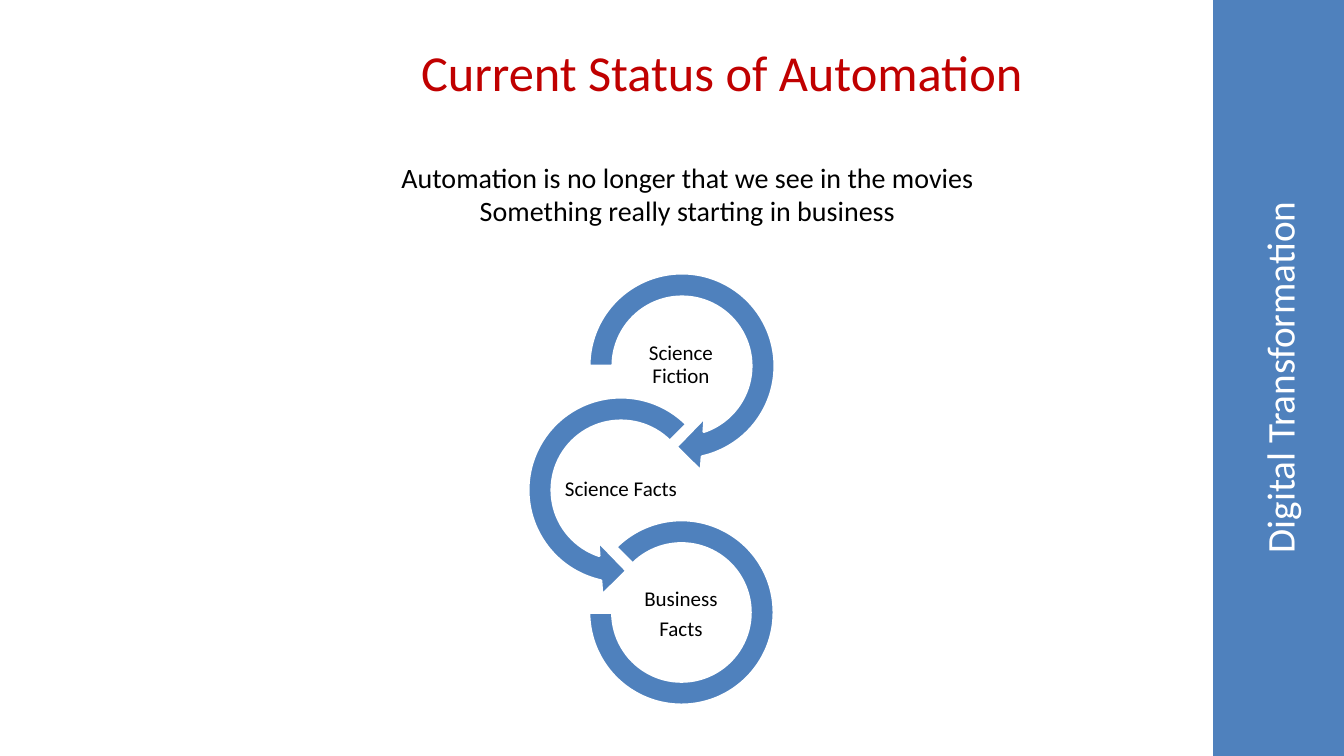
from pptx import Presentation
from pptx.dml.color import RGBColor
from pptx.enum.shapes import MSO_SHAPE
from pptx.enum.text import MSO_ANCHOR, MSO_AUTO_SIZE, PP_ALIGN
from pptx.util import Pt

PX = 914400 / 100.8
FONT = "Calibri"
BLUE, RED, WHITE, BLACK = "4F81BD", "C00000", "FFFFFF", "000000"
RECT = MSO_SHAPE.RECTANGLE
RIGHT, LEFT = MSO_SHAPE.CIRCULAR_ARROW, MSO_SHAPE.LEFT_CIRCULAR_ARROW
ARC = MSO_SHAPE.BLOCK_ARC
MID, TOP = MSO_ANCHOR.MIDDLE, MSO_ANCHOR.TOP
CENTER, START = PP_ALIGN.CENTER, PP_ALIGN.LEFT
NO_FIT = MSO_AUTO_SIZE.NONE

# kind, left, top, side, adjustments, label left, label text
RINGS = [
    (RIGHT, 574, 258, 216, (0.1098, 11.423, 45, 108, 0.125), 621, "Science Fiction"),
    (LEFT, 513, 382, 216, (0.1098, 11.423, 63, 189, 0.125), 561, "Science Facts"),
    (ARC, 589, 520, 185, (135, 108, 0.1274), 621, "Business\nFacts"),
]
LABEL_TOP, LABEL_STEP = 336, 124.5


def emu(*sizes):
    return [round(size * PX) for size in sizes]


def color(code):
    return RGBColor.from_string(code)


def write(shape, text, size, code, align=CENTER, anchor=TOP, inset=(10, 5)):
    """Fill a text frame; newlines start paragraphs, \\v breaks a line."""
    frame = shape.text_frame
    frame.word_wrap = True
    frame.auto_size = NO_FIT
    frame.vertical_anchor = anchor
    side, edge = emu(*inset)
    frame.margin_left = frame.margin_right = side
    frame.margin_top = frame.margin_bottom = edge
    frame.text = text
    for para in frame.paragraphs:
        para.alignment = align
        para.font.name = FONT
        para.font.size = Pt(size)
        para.font.color.rgb = color(code)
    return frame


def add_text(slide, box, *args, **kwargs):
    shape = slide.shapes.add_textbox(*emu(*box))
    write(shape, *args, **kwargs)
    return shape


def add_block(slide, kind, box, edge=None):
    shape = slide.shapes.add_shape(kind, *emu(*box))
    shape.shadow.inherit = False
    shape.fill.solid()
    shape.fill.fore_color.rgb = color(BLUE)
    if edge:
        shape.line.color.rgb = color(edge)
        shape.line.width = Pt(2)
    else:
        shape.line.fill.background()
    return shape


def add_ring(slide, kind, left, top, side, turns):
    ring = add_block(slide, kind, (left, top, side, side), WHITE)
    for i, turn in enumerate(turns):
        ring.adjustments[i] = turn


def add_label(slide, left, top, text):
    label = add_text(slide, (left, top, 120, 59), text, 15, BLACK,
                     anchor=MID, inset=(1, 1))
    for para in label.text_frame.paragraphs:
        para.line_spacing = 0.9
        para.space_after = Pt(5)


def main():
    prs = Presentation()
    prs.slide_width, prs.slide_height = emu(1344, 756)
    slide = prs.slides.add_slide(prs.slide_layouts[5])

    title = slide.shapes.title
    title.left, title.top, title.width, title.height = emu(234, 131, 907, 126)
    write(title, "Automation is no longer that we see in the movies\v"
          "Something really starting in business", 20, BLACK, anchor=MID)

    for i, (kind, left, top, side, turns, x, text) in enumerate(RINGS):
        add_ring(slide, kind, left, top, side, turns)
        add_label(slide, x, LABEL_TOP + i * LABEL_STEP, text)

    add_text(slide, (411, 36, 668, 72), "Current Status of Automation",
             36, RED, align=START)
    add_block(slide, RECT, (1213, 0, 131, 756))
    side = add_text(slide, (959, 354, 640, 47), "Digital Transformation",
                    28, WHITE, inset=(4, 0))
    side.rotation = 270
    prs.save("out.pptx")


if __name__ == "__main__":
    main()
